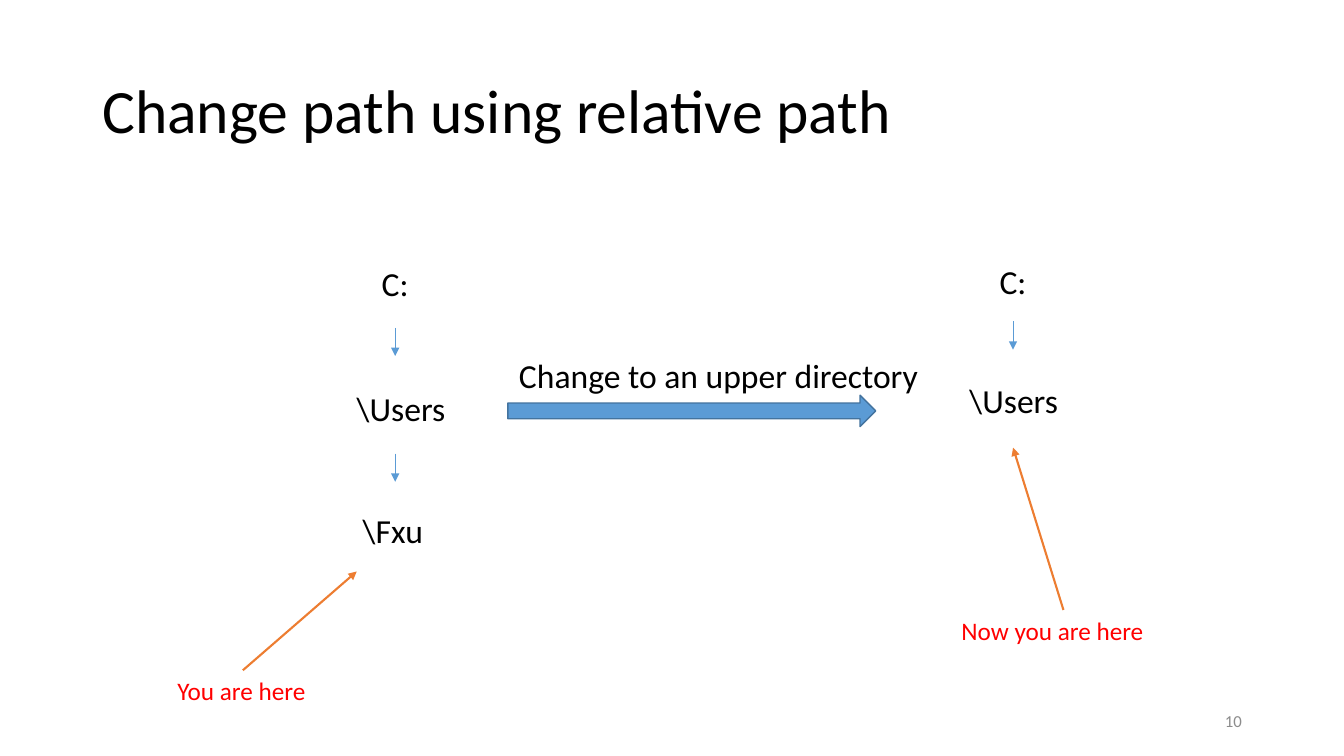
"""Build the slide on changing to an upper directory with a relative path."""
import pptx
import pptx.dml.color
import pptx.enum.shapes
import pptx.enum.text
import pptx.oxml
import pptx.oxml.ns
import pptx.util
from pptx.util import Cm

COLORS = {
    "text": "000000",
    "number": "8C8C8C",
    "note": "FF0000",
    "blue": "5B9BD5",
    "outline": "43739E",
    "orange": "ED7D31",
}
RGB = {name: pptx.dml.color.RGBColor.from_string(c) for name, c in COLORS.items()}
ANCHOR = pptx.enum.text.MSO_ANCHOR
ALIGN = pptx.enum.text.PP_ALIGN

prs = pptx.Presentation()
prs.slide_width, prs.slide_height = Cm(33.87), Cm(19.05)
s = prs.slides.add_slide(prs.slide_layouts[6])

title = {"vertical_anchor": ANCHOR.MIDDLE, "word_wrap": True}
label = {"vertical_anchor": ANCHOR.TOP, "word_wrap": False}
note = {"vertical_anchor": ANCHOR.TOP, "word_wrap": True}
left, right = ALIGN.LEFT, ALIGN.RIGHT

texts = [
    ("Change path using relative path", 2.33, 1.02, 29.21, 3.68, 44, "text", title, left, 0.9),
    ("10", 23.93, 17.65, 7.62, 1.02, 12, "number", title, right, 1.0),
    ("C:", 9.37, 6.5, 1.19, 1.27, 24, "text", label, left, 1.0),
    ("\\Users", 8.74, 9.65, 2.77, 1.27, 24, "text", label, left, 1.0),
    ("\\Fxu", 8.89, 12.73, 2.06, 1.27, 24, "text", label, left, 1.0),
    ("C:", 24.94, 6.45, 1.19, 1.27, 24, "text", label, left, 1.0),
    ("\\Users", 24.18, 9.45, 2.77, 1.27, 24, "text", label, left, 1.0),
    ("You are here", 4.22, 16.89, 3.78, 1.02, 18, "note", label, left, 1.0),
    ("Now you are here", 23.98, 15.37, 5.64, 1.02, 18, "note", note, left, 1.0),
    ("Change to an upper directory", 12.83, 8.81, 10.67, 1.27, 24, "text", label, left, 1.0),
]

sp = s.shapes.add_shape(pptx.enum.shapes.MSO_SHAPE.RIGHT_ARROW,
                        Cm(12.8), Cm(9.96), Cm(9.27), Cm(0.79))
sp.shadow.inherit = False
sp.fill.solid()
sp.fill.fore_color.rgb = RGB["blue"]
sp.line.color.rgb = RGB["outline"]
sp.line.width = pptx.util.Pt(1)

for text, x, y, w, h, size, color, frame, align, spacing in texts:
    sp = s.shapes.add_textbox(Cm(x), Cm(y), Cm(w), Cm(h))
    tf = sp.text_frame
    for name, value in frame.items():
        setattr(tf, name, value)
    p = tf.paragraphs[0]
    p.alignment = align
    p.line_spacing = spacing
    r = p.add_run()
    r.text = text
    for name, value in {"name": "Calibri", "size": pptx.util.Pt(size)}.items():
        setattr(r.font, name, value)
    r.font.color.rgb = RGB[color]

arrows = [
    (9.96, 8.26, 9.96, 8.97, "blue", 0.5),
    (9.96, 11.43, 9.96, 12.14, "blue", 0.5),
    (25.53, 8.1, 25.53, 8.81, "blue", 0.5),
    (6.12, 16.89, 8.99, 14.4, "orange", 1.5),
    (26.8, 15.37, 25.53, 11.28, "orange", 1.5),
]
for x1, y1, x2, y2, color, width in arrows:
    sp = s.shapes.add_connector(pptx.enum.shapes.MSO_CONNECTOR.STRAIGHT,
                                Cm(x1), Cm(y1), Cm(x2), Cm(y2))
    sp.line.color.rgb = RGB[color]
    sp.line.width = pptx.util.Pt(width)
    tail = pptx.oxml.parse_xml(
        f'<a:tailEnd {pptx.oxml.ns.nsdecls("a")} type="triangle"/>')
    sp.line._get_or_add_ln().append(tail)
    effects = pptx.oxml.parse_xml(f'<a:effectLst {pptx.oxml.ns.nsdecls("a")}/>')
    sp._element.spPr.append(effects)

prs.save("out.pptx")
